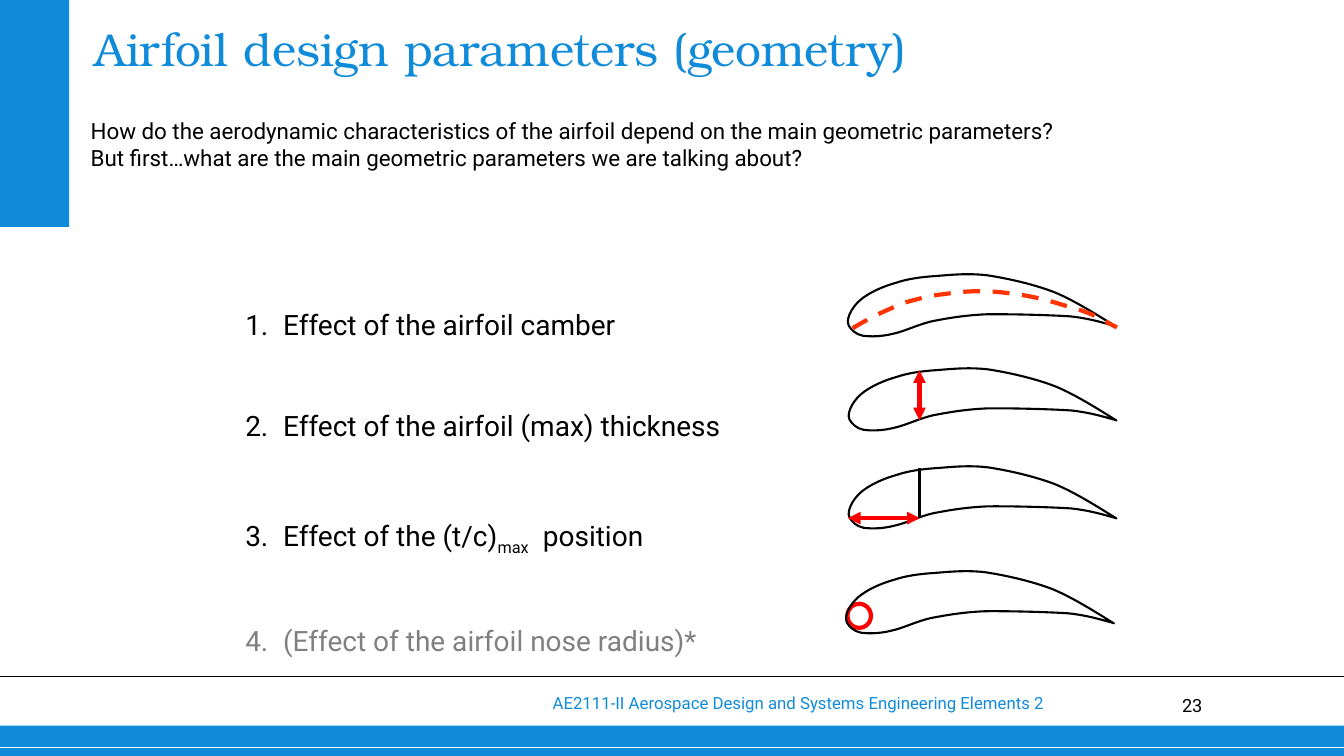
import dataclasses

import lxml.etree
import pptx
import pptx.dml.color
import pptx.enum.dml
import pptx.enum.shapes
import pptx.enum.text
import pptx.oxml.ns
import pptx.shapes.autoshape
import pptx.slide
import pptx.text.text
import pptx.util

Pt = pptx.util.Pt
RGBColor = pptx.dml.color.RGBColor
ShapeKind = pptx.enum.shapes.MSO_SHAPE
Align = pptx.enum.text.PP_ALIGN
Point = tuple[float, float]
qualified = pptx.oxml.ns.qn

BLUE = RGBColor(0x10, 0x8B, 0xD9)
BLACK = RGBColor(0, 0, 0)
WHITE = RGBColor(0xFF, 0xFF, 0xFF)
GRAY = RGBColor(0x80, 0x80, 0x80)
RED = RGBColor(0xFF, 0, 0)
ORANGE = RGBColor(0xFF, 0x33, 0)

LIST_INDENT = Pt(27)
AIRFOIL_ORIGINS = [(604.8, 195), (605.4, 262.2), (605.4, 332.2), (603.5, 407.1)]

AIRFOIL_POINTS = [
    (192.2, 38.2),
    (185, 33.8), (164.2, 20.2), (148.3, 13.7),
    (133.2, 7.9), (113.8, 3.6), (100, 1.6),
    (85.7, 0), (74.2, 1.4), (63.4, 2.2),
    (52.6, 2.9), (43.2, 4.3), (35.3, 7),
    (26.6, 9.4), (18.7, 13), (13.7, 16.4),
    (8.6, 19.6), (5.8, 23), (3.6, 26.6),
    (1.4, 30.2), (0, 34.6), (1.4, 37.4),
    (2.9, 40.3), (6.5, 43.9), (11.5, 44.8),
    (17.3, 45.6), (25.2, 45.4), (33.1, 43.4),
    (41.8, 41.6), (50.4, 36.9), (61.4, 34.4),
    (72.7, 32.2), (84.2, 30.2), (100.1, 29.5),
    (116.6, 29.3), (144.7, 30), (159.8, 31),
    (175, 32.6), (186.5, 36.6), (191.5, 37.8),
]
CAMBER_POINTS = [
    (4.3, 39.6),
    (7.2, 37.4), (16.6, 32.4), (22.3, 29.5),
    (28.8, 26.6), (34.6, 23.8), (42.5, 20.9),
    (50.4, 18.7), (60.5, 15.8), (69.8, 15.1),
    (78.5, 13.7), (87.1, 13), (96.5, 13),
    (105.8, 13), (115.9, 14.4), (125.3, 15.8),
    (135.4, 17.3), (146.2, 20.2), (154.8, 23),
    (163.4, 25.2), (169.9, 27.4), (176.4, 30.2),
    (182.2, 33.1), (187.2, 36), (193, 38.9),
]


@dataclasses.dataclass(frozen=True)
class Box:
    left: float
    top: float
    width: float
    height: float


@dataclasses.dataclass(frozen=True)
class Line:
    start: Point
    end: Point
    color: RGBColor
    width: float
    arrows: bool = False


@dataclasses.dataclass(frozen=True)
class Run:
    text: str
    size: float
    color: RGBColor = BLACK
    font: str = "Roboto"
    attributes: dict[str, str] = dataclasses.field(default_factory=dict)


@dataclasses.dataclass(frozen=True)
class TextBlock:
    box: Box
    paragraphs: list[list[Run]]
    align: Align = Align.LEFT
    margin: Point = (7.2, 3.6)
    line_spacing: float = 1.0
    numbered: bool = False


BANDS = [Box(0, 518.4, 960, 21.6), Box(0, 0, 49.5, 162)]
NOSE_CIRCLE = Box(605.3, 431.3, 16.8, 17.2)
LINES = [
    Line((0, 534.2), (960, 534.2), WHITE, 0.75),
    Line((0, 483.2), (960, 483.2), BLACK, 1),
    Line((656.8, 264.5), (656.8, 300.2), RED, 3, arrows=True),
    Line((657, 370.1), (605.7, 370.1), RED, 3, arrows=True),
    Line((656.9, 334.2), (656.9, 370.1), BLACK, 2),
]
TITLE = TextBlock(
    Box(60.5, 10.8, 759.6, 47.5),
    [[Run("Airfoil design parameters (geometry)", 33, BLUE, "TeX Gyre Bonum")]],
)
TEXT_BLOCKS = [
    TextBlock(Box(802, 496, 56.9, 20.2), [[Run("23", 13)]], Align.RIGHT, (0, 0)),
    TextBlock(
        Box(245.5, 491, 507.6, 21.6),
        [[Run("AE2111-II Aerospace Design and Systems Engineering Elements 2", 12, BLUE)]],
        Align.RIGHT,
    ),
    TextBlock(
        Box(50.4, 79.9, 854.6, 96.5),
        [
            [Run("How do the aerodynamic characteristics of the airfoil depend on the main geometric parameters?", 16)],
            [Run("But first…what are the main geometric parameters we are talking about?", 16)],
        ],
        margin=(14.4, 3.6),
    ),
    TextBlock(
        Box(168.1, 168, 396.7, 298),
        [
            [Run("Effect of the airfoil camber", 20)],
            [Run("Effect of the airfoil (max) thickness", 20)],
            [
                Run("Effect of the (t/c)", 20),
                Run("max", 20, attributes={"baseline": "-25000"}),
                Run(" ", 20, attributes={"spc": "500"}),
                Run("position", 20),
            ],
            [Run("(Effect of the airfoil nose radius)*", 20, GRAY)],
        ],
        line_spacing=3.0,
        numbered=True,
    ),
]


def set_attributes(target: object, values: dict[str, object]) -> None:
    for name, value in values.items():
        setattr(target, name, value)


def place(shape: pptx.shapes.autoshape.Shape, box: Box) -> None:
    set_attributes(shape, {name: Pt(value) for name, value in dataclasses.asdict(box).items()})


def number_paragraph(paragraph: pptx.text.text._Paragraph) -> None:
    properties = paragraph._p.get_or_add_pPr()
    properties.set("marL", str(LIST_INDENT))
    properties.set("indent", str(-LIST_INDENT))
    numbering = lxml.etree.SubElement(properties, qualified("a:buAutoNum"))
    numbering.set("type", "arabicPeriod")


def fill_text(shape: pptx.shapes.autoshape.Shape, block: TextBlock) -> None:
    place(shape, block.box)
    frame = shape.text_frame
    horizontal, vertical = (Pt(value) for value in block.margin)
    set_attributes(frame, {
        "word_wrap": True,
        "auto_size": pptx.enum.text.MSO_AUTO_SIZE.NONE,
        "vertical_anchor": pptx.enum.text.MSO_ANCHOR.TOP,
        "margin_left": horizontal, "margin_right": horizontal,
        "margin_top": vertical, "margin_bottom": vertical,
    })
    for index, runs in enumerate(block.paragraphs):
        paragraph = frame.add_paragraph() if index else frame.paragraphs[0]
        set_attributes(paragraph, {
            "alignment": block.align, "line_spacing": block.line_spacing, "space_before": Pt(0),
        })
        if block.numbered:
            number_paragraph(paragraph)
        for item in runs:
            run = paragraph.add_run()
            run.text = item.text
            set_attributes(run.font, {"size": Pt(item.size), "name": item.font})
            run.font.color.rgb = item.color
            for name, value in item.attributes.items():
                run._r.get_or_add_rPr().set(name, value)


def style_outline(shape: pptx.shapes.autoshape.Shape, color: RGBColor, width: float) -> None:
    shape.shadow.inherit = False
    shape.fill.background()
    shape.line.color.rgb = color
    shape.line.width = Pt(width)


def draw_band(slide: pptx.slide.Slide, box: Box) -> None:
    band = slide.shapes.add_shape(ShapeKind.RECTANGLE, 0, 0, 0, 0)
    place(band, box)
    band.shadow.inherit = False
    band.fill.solid()
    band.fill.fore_color.rgb = BLUE
    band.line.fill.background()


def draw_line(slide: pptx.slide.Slide, line: Line) -> None:
    ends = [Pt(value) for value in (*line.start, *line.end)]
    connector = slide.shapes.add_connector(pptx.enum.shapes.MSO_CONNECTOR.STRAIGHT, *ends)
    connector.line.color.rgb = line.color
    connector.line.width = Pt(line.width)
    properties = connector._element.spPr
    if line.arrows:
        outline = properties.find(qualified("a:ln"))
        for end in ("a:headEnd", "a:tailEnd"):
            lxml.etree.SubElement(outline, qualified(end)).set("type", "triangle")
    lxml.etree.SubElement(properties, qualified("a:effectLst"))


def draw_curve(
    slide: pptx.slide.Slide, origin: Point, points: list[Point], close: bool
) -> pptx.shapes.autoshape.Shape:
    vertices = [(Pt(origin[0] + x), Pt(origin[1] + y)) for x, y in points]
    builder = slide.shapes.build_freeform(*vertices[0])
    builder.add_line_segments(vertices[1:], close=close)
    shape = builder.convert_to_shape()
    segments = list(shape._element.iter(qualified("a:lnTo")))
    for first in range(0, len(points) - 1, 3):
        curve = lxml.etree.Element(qualified("a:cubicBezTo"))
        segments[first].addprevious(curve)
        for segment in segments[first:first + 3]:
            curve.append(segment[0])
            segment.getparent().remove(segment)
    return shape


def main() -> None:
    presentation = pptx.Presentation()
    set_attributes(presentation, {"slide_width": Pt(960), "slide_height": Pt(540)})
    slide = presentation.slides.add_slide(presentation.slide_layouts[5])
    for band in BANDS:
        draw_band(slide, band)
    fill_text(slide.shapes.title, TITLE)
    for block in TEXT_BLOCKS:
        fill_text(slide.shapes.add_textbox(0, 0, 0, 0), block)
    circle = slide.shapes.add_shape(ShapeKind.OVAL, 0, 0, 0, 0)
    place(circle, NOSE_CIRCLE)
    style_outline(circle, RED, 3)
    for origin in AIRFOIL_ORIGINS:
        style_outline(draw_curve(slide, origin, AIRFOIL_POINTS, True), BLACK, 1.5)
    camber = draw_curve(slide, AIRFOIL_ORIGINS[0], CAMBER_POINTS, False)
    style_outline(camber, ORANGE, 3)
    camber.line.dash_style = pptx.enum.dml.MSO_LINE.DASH
    for line in LINES:
        draw_line(slide, line)
    presentation.save("out.pptx")


if __name__ == "__main__":
    main()
